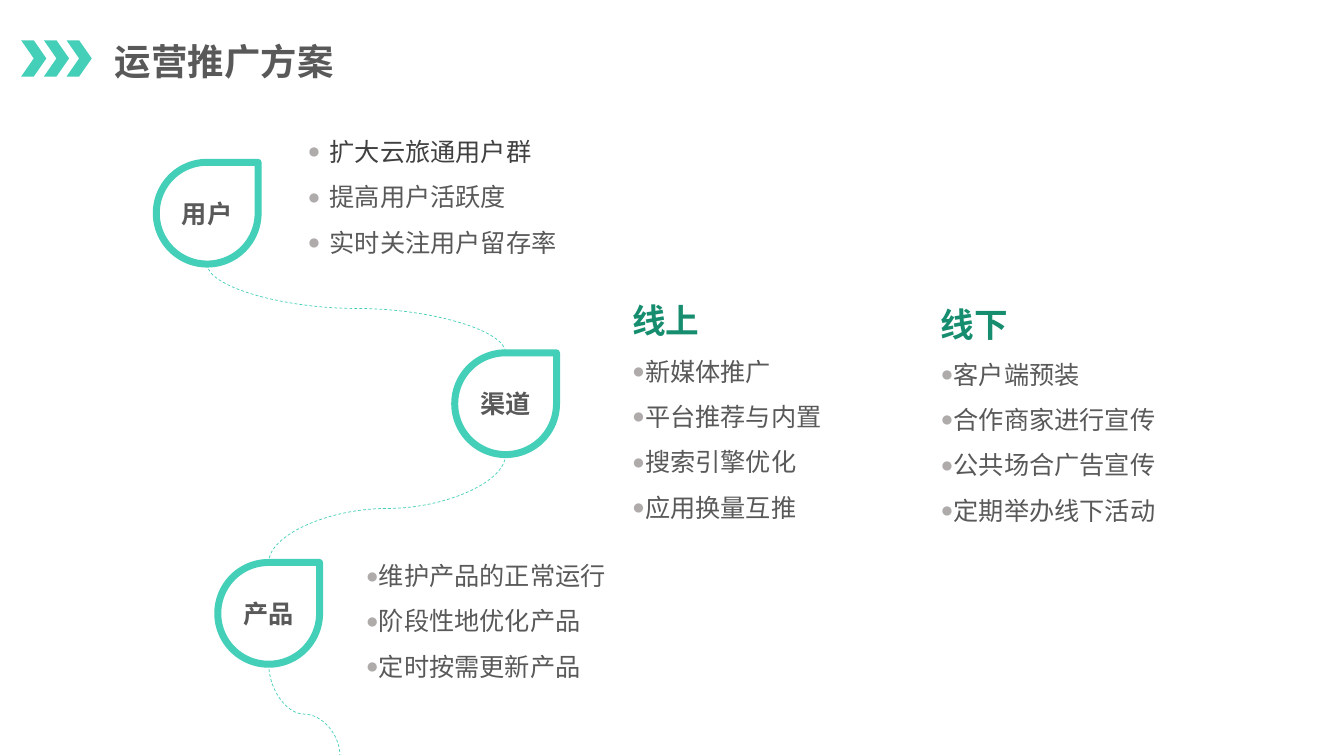
from lxml import etree
from pptx import Presentation
from pptx.dml.color import RGBColor
from pptx.enum.dml import MSO_LINE
from pptx.enum.shapes import MSO_CONNECTOR, MSO_SHAPE
from pptx.enum.text import MSO_ANCHOR, MSO_AUTO_SIZE, PP_ALIGN
from pptx.oxml.ns import qn
from pptx.util import Inches, Pt

# Content
TITLE = "运营推广方案"
STAGES = [("用户", 1.55, 1.61), ("渠道", 4.51, 3.5), ("产品", 2.16, 5.58)]
ROUTE_END = (3.37, 7.49)
LISTS = [
    {"at": (2.95, 1.15, 2.84, 1.46), "heading": None, "indent": 0.22,
     "items": ["扩大云旅通用户群", "提高用户活跃度", "实时关注用户留存率"], "dark": 0},
    {"at": (6.17, 2.73, 2.38, 2.47), "heading": "线上", "indent": 0.12,
     "items": ["新媒体推广", "平台推荐与内置", "搜索引擎优化", "应用换量互推"]},
    {"at": (9.23, 2.76, 3.1, 2.47), "heading": "线下", "indent": 0.12,
     "items": ["客户端预装", "合作商家进行宣传", "公共场合广告宣传", "定期举办线下活动"]},
    {"at": (3.53, 5.36, 2.96, 1.46), "heading": None, "indent": 0.12,
     "items": ["维护产品的正常运行", "阶段性地优化产品", "定时按需更新产品"]},
]
DROP = 1.01


class Theme:
    font = "Noto Sans CJK SC"
    teal, green, white = "44CFB9", "168D6E", "FFFFFF"
    text, dark, bullet = "595959", "404040", "AFABAB"
    title_size, heading_size, body_size = 26, 24, 18


def rgb(value):
    return RGBColor.from_string(value)


def add_span(para, text, size, color, bold=False):
    span = para.add_run()
    span.text = text
    span.font.name = Theme.font
    span.font.size = Pt(size)
    span.font.bold = bold
    span.font.color.rgb = rgb(color)
    east_asian = etree.SubElement(span.font._element, qn("a:ea"))
    east_asian.set("typeface", Theme.font)


def place(shape, left, top, width, height):
    shape.left, shape.top = Inches(left), Inches(top)
    shape.width, shape.height = Inches(width), Inches(height)


def set_bullet(para, indent):
    props = para._p.get_or_add_pPr()
    props.set("marL", str(Inches(indent)))
    props.set("indent", str(-Inches(indent)))
    if not indent:
        etree.SubElement(props, qn("a:buNone"))
        return
    color = etree.SubElement(props, qn("a:buClr"))
    etree.SubElement(color, qn("a:srgbClr")).set("val", Theme.bullet)
    etree.SubElement(props, qn("a:buSzPct")).set("val", "85000")
    etree.SubElement(props, qn("a:buChar")).set("char", "●")


def add_list(box, content):
    place(box, *content["at"])
    frame = box.text_frame
    frame.word_wrap = True
    frame.auto_size = MSO_AUTO_SIZE.NONE
    frame.vertical_anchor = MSO_ANCHOR.TOP
    rows = [(item, Theme.body_size, Theme.text, False, content["indent"])
            for item in content["items"]]
    if "dark" in content:
        index = content["dark"]
        rows[index] = (rows[index][0], Theme.body_size, Theme.dark, False, content["indent"])
    if content["heading"]:
        rows.insert(0, (content["heading"], Theme.heading_size, Theme.green, True, 0))
    for number, (text, size, color, bold, indent) in enumerate(rows):
        para = frame.add_paragraph() if number else frame.paragraphs[0]
        para.alignment = PP_ALIGN.JUSTIFY
        para.line_spacing = 1.5
        para.space_before = para.space_after = Pt(0)
        set_bullet(para, indent)
        add_span(para, text, size, color, bold)


def add_curve(page, start, end, bend):
    """Draw an S-curve that leaves and arrives vertically."""
    (x1, y1), (x2, y2) = start, end
    mid_x, mid_y = (x1 + x2) / 2, (y1 + y2) / 2
    rightward = x2 > x1
    # The curve runs sideways by default, so its frame is turned a quarter
    half_run = (y2 - y1) / 2 * (-1 if rightward else 1)
    half_rise = abs(x2 - x1) / 2
    curve = page.shapes.add_connector(
        MSO_CONNECTOR.CURVE,
        Inches(mid_x - half_run), Inches(mid_y - half_rise),
        Inches(mid_x + half_run), Inches(mid_y + half_rise))
    props = curve._element.spPr
    props.find(qn("a:xfrm")).set("rot", str((270 if rightward else 90) * 60000))
    guide = etree.SubElement(props.find(qn("a:prstGeom")).find(qn("a:avLst")), qn("a:gd"))
    guide.set("name", "adj1")
    guide.set("fmla", f"val {round(bend * 100000)}")
    curve.line.color.rgb = rgb(Theme.teal)
    curve.line.width = Pt(0.5)
    curve.line.dash_style = MSO_LINE.DASH
    etree.SubElement(props, qn("a:effectLst"))


def add_stage(page, name, left, top):
    drop = page.shapes.add_shape(MSO_SHAPE.TEAR, Inches(left), Inches(top),
                                 Inches(DROP), Inches(DROP))
    drop.shadow.inherit = False
    drop.fill.solid()
    drop.fill.fore_color.rgb = rgb(Theme.white)
    drop.line.color.rgb = rgb(Theme.teal)
    drop.line.width = Pt(5)
    drop.text_frame.vertical_anchor = MSO_ANCHOR.MIDDLE
    para = drop.text_frame.paragraphs[0]
    para.alignment = PP_ALIGN.CENTER
    add_span(para, name, Theme.body_size, Theme.text, True)


def main():
    deck = Presentation()
    deck.slide_width, deck.slide_height = Inches(13.33), Inches(7.5)
    page = deck.slides.add_slide(deck.slide_layouts.get_by_name("Comparison"))

    # Title with its three chevrons
    for number in range(3):
        chevron = page.shapes.add_shape(
            MSO_SHAPE.CHEVRON, Inches(0.21 + number * 0.225), Inches(0.4),
            Inches(0.25), Inches(0.36))
        chevron.shadow.inherit = False
        chevron.fill.solid()
        chevron.fill.fore_color.rgb = rgb(Theme.teal)
        chevron.line.fill.background()
    title = page.shapes.title
    place(title, 1.07, 0.35, 4.72, 0.51)
    frame = title.text_frame
    frame.auto_size = MSO_AUTO_SIZE.NONE
    frame.vertical_anchor = MSO_ANCHOR.MIDDLE
    frame.margin_left = frame.margin_right = Inches(0.07)
    frame.margin_top = frame.margin_bottom = Inches(0.04)
    frame.paragraphs[0].alignment = PP_ALIGN.LEFT
    add_span(frame.paragraphs[0], TITLE, Theme.title_size, Theme.text, True)

    # Dashed route from each drop to the next, then off the bottom edge
    tops = [(left + DROP / 2, top) for _, left, top in STAGES]
    for (x, y), target in zip(tops, tops[1:] + [ROUTE_END]):
        add_curve(page, (x, y + DROP), target, 0.55 if target == ROUTE_END else 0.5)

    # Stage drops
    for stage in STAGES:
        add_stage(page, *stage)

    # Lists
    bodies = [box for box in page.placeholders if box.placeholder_format.idx]
    for box, content in zip(bodies, LISTS):
        add_list(box, content)

    deck.save("out.pptx")


if __name__ == "__main__":
    main()
